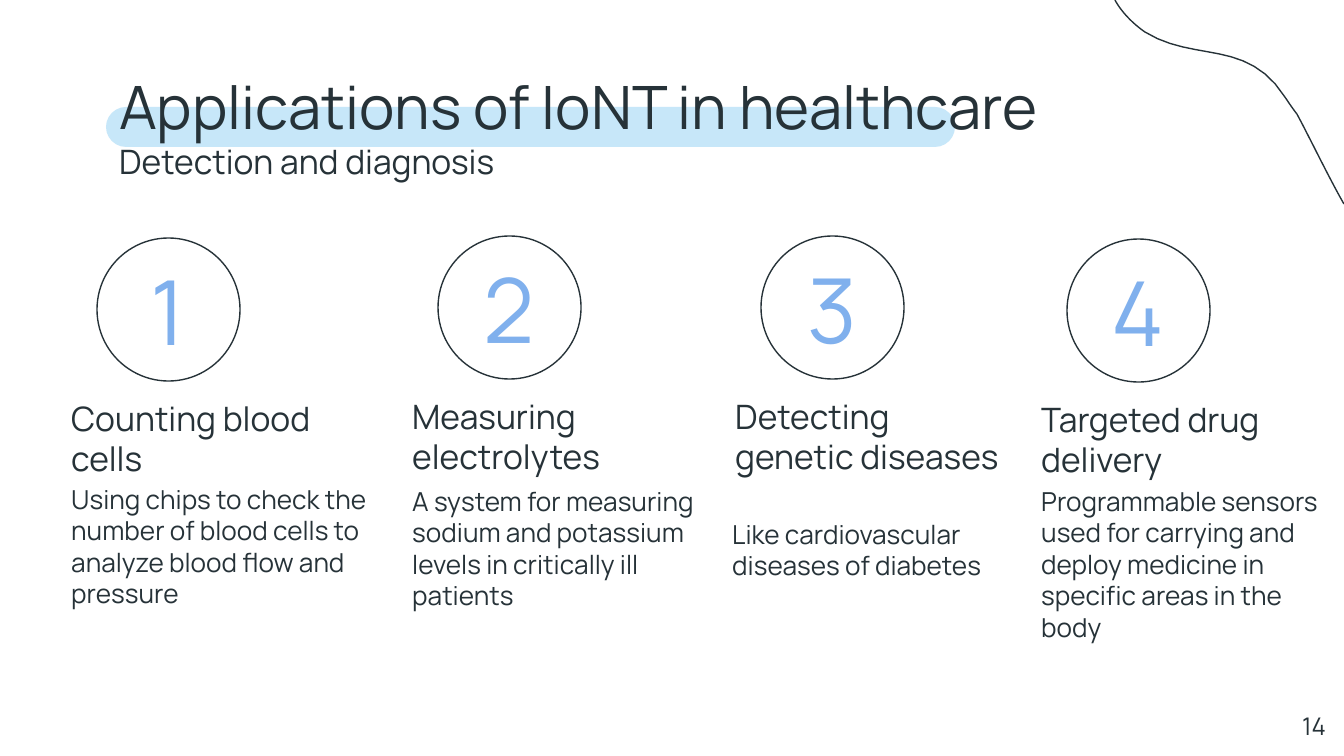
import pptx
import pptx.util
import pptx.dml.color
import pptx.enum.shapes
import pptx.enum.text

RGB = pptx.dml.color.RGBColor
KIND = pptx.enum.shapes.MSO_SHAPE
ALIGN = pptx.enum.text.PP_ALIGN
ANCHOR = pptx.enum.text.MSO_ANCHOR

INK = RGB(0x26, 0x32, 0x38)
BLUE = RGB(0x80, 0xB0, 0xED)
PALE = RGB(0xC7, 0xE7, 0xF9)
FACE = "Manrope"
SCALE = 914400 / 134.4  # EMU per px


def px(n):
    return pptx.util.Emu(round(n * SCALE))


def style(font, size, color=INK):
    font.name = FACE
    font.size = pptx.util.Pt(size)
    font.color.rgb = color


def outline(shape):
    shape.shadow.inherit = False
    shape.fill.background()
    shape.line.color.rgb = INK
    shape.line.width = pptx.util.Pt(0.75)


def text(slide, box, words, size, color=INK, align=ALIGN.LEFT,
         anchor=ANCHOR.TOP, after=0):
    frame = slide.shapes.add_textbox(*map(px, box)).text_frame
    frame.word_wrap = True
    frame.vertical_anchor = anchor
    frame.margin_left = frame.margin_right = pptx.util.Inches(0.1)
    frame.margin_top = frame.margin_bottom = pptx.util.Inches(0.1)
    para = frame.paragraphs[0]
    para.text = words
    para.alignment = align
    para.space_after = pptx.util.Pt(after)
    style(para.font, size, color)
    return para


def curve(slide, start, bends):
    """Draw an open line through cubic bends, each of three px points."""
    steps = 12
    dots = []
    last = start
    for bend in bends:
        for i in range(1, steps + 1):
            t = i / steps
            mix = ((1 - t) ** 3, 3 * t * (1 - t) ** 2,
                   3 * t ** 2 * (1 - t), t ** 3)
            dots.append(tuple(
                px(sum(m * p[axis] for m, p in zip(mix, (last, *bend))))
                for axis in (0, 1)))
        last = bend[-1]
    pen = slide.shapes.build_freeform(px(start[0]), px(start[1]))
    pen.add_line_segments(dots, close=False)
    outline(pen.convert_to_shape())


def header(slide, x, y, w, h):
    # Highlight bar behind the title
    bar = slide.shapes.add_shape(
        KIND.ROUNDED_RECTANGLE, px(x), px(y + 51), px(849), px(40))
    bar.adjustments[0] = 0.5
    bar.shadow.inherit = False
    bar.fill.solid()
    bar.fill.fore_color.rgb = PALE
    bar.line.fill.background()
    # Title and subtitle
    para = text(slide, (x, y, w, h), "Applications of IoNT in healthcare", 32)
    para.add_line_break()
    run = para.add_run()
    run.text = "Detection and diagnosis"
    run.font.size = pptx.util.Pt(18)


def column(slide, x, y, w, num, head, body, shift, drop):
    """Place a numbered circle, its heading and its body text."""
    ring = slide.shapes.add_shape(
        KIND.OVAL, px(x + 39), px(y), px(143), px(143))
    outline(ring)
    text(slide, (x + 45, y + 20, 130, 103), str(num), 48, BLUE,
         ALIGN.CENTER, ANCHOR.MIDDLE)
    text(slide, (x, y + 146, w, 108), head, 18, after=16)
    text(slide, (x + shift, y + drop, 324, 149), body, 14, after=16)


# x, y, heading width, heading, body, body shift and drop
COLUMNS = [
    (58, 238, 324, "Counting blood\vcells",
     "Using chips to check the number of blood cells to analyze blood flow "
     "and pressure", 0, 232),
    (399, 236, 324, "Measuring electrolytes",
     "A system for measuring sodium and potassium levels in critically ill "
     "patients", 0, 236),
    (722, 236, 290, "Detecting genetic diseases",
     "Like cardiovascular diseases of diabetes", -3, 269),
    (1028, 239, 324, "Targeted drug delivery",
     "Programmable sensors used for carrying and deploy medicine in specific "
     "areas in the body", 0, 233),
]

BENDS = [
    ((1121, 11), (1132, 23), (1145, 32)),
    ((1195, 63), (1247, 38), (1285, 97)),
    ((1289, 103), (1293, 109), (1297, 114)),
    ((1313, 144), (1327, 174), (1344, 204)),
]


def main():
    deck = pptx.Presentation()
    deck.slide_width, deck.slide_height = px(1344), px(756)
    slide = deck.slides.add_slide(deck.slide_layouts[6])
    curve(slide, (1115, 0), BENDS)
    header(slide, 106, 56, 1133, 125)
    for num, (x, y, w, head, body, shift, drop) in enumerate(COLUMNS, 1):
        column(slide, x, y, w, num, head, body, shift, drop)
    # Page number
    text(slide, (1258, 698, 81, 58), "14", 13, align=ALIGN.RIGHT)
    deck.save("out.pptx")


if __name__ == "__main__":
    main()
